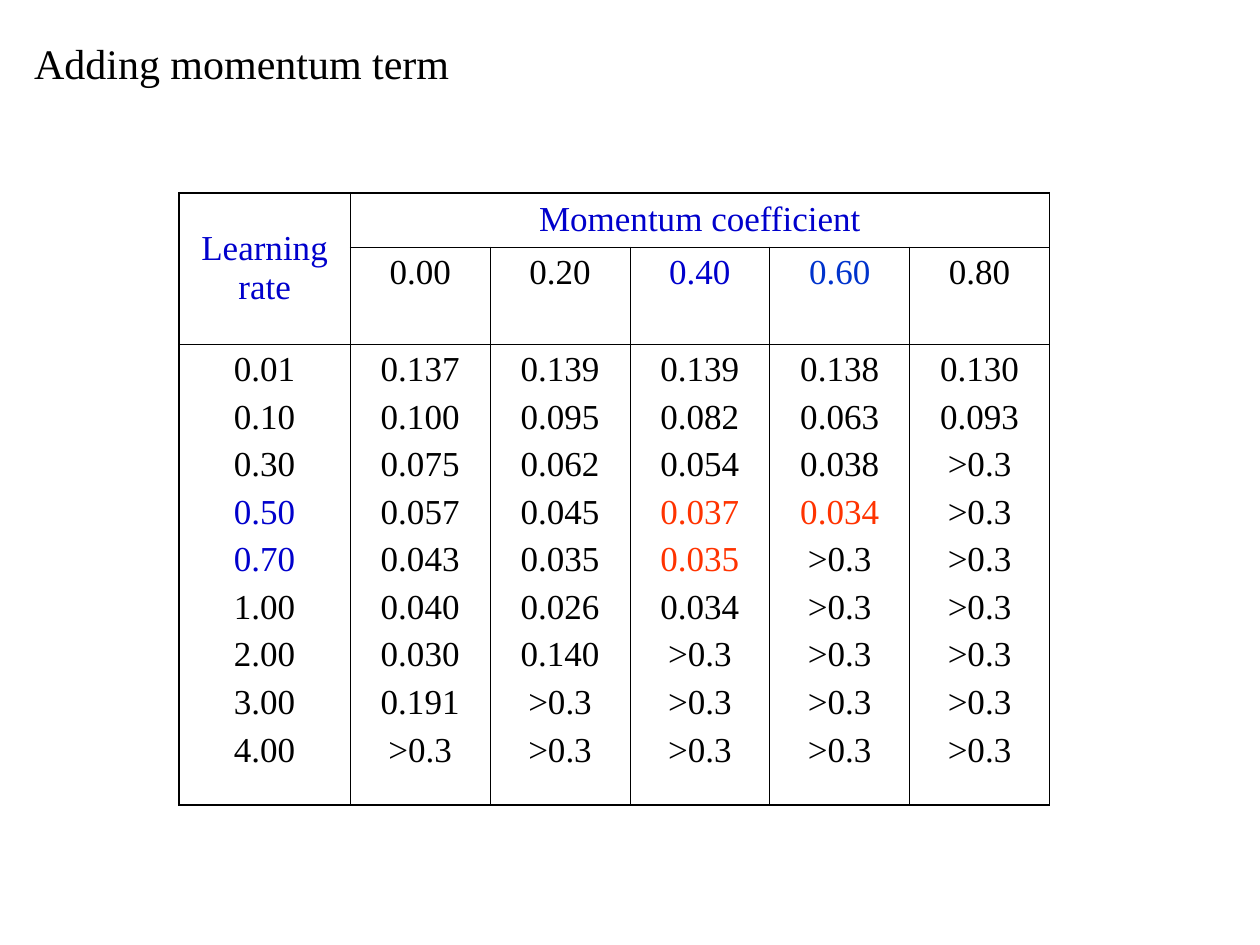
from lxml.etree import SubElement
from pptx import Presentation
from pptx.dml.color import RGBColor
from pptx.enum.text import MSO_ANCHOR as Anchor, PP_ALIGN as Align
from pptx.oxml.ns import qn
from pptx.util import Inches, Pt

COLORS = {"text": "000000", "heading": "0000CC", "accent": "0033CC", "best": "FF3300"}
COEFFICIENTS = ["0.00", "0.20", "0.40", "0.60", "0.80"]
COEFFICIENT_COLORS = {"0.40": "heading", "0.60": "accent"}
ERRORS = {
    "0.01": ["0.137", "0.139", "0.139", "0.138", "0.130"],
    "0.10": ["0.100", "0.095", "0.082", "0.063", "0.093"],
    "0.30": ["0.075", "0.062", "0.054", "0.038", ">0.3"],
    "0.50": ["0.057", "0.045", "0.037", "0.034", ">0.3"],
    "0.70": ["0.043", "0.035", "0.035", ">0.3", ">0.3"],
    "1.00": ["0.040", "0.026", "0.034", ">0.3", ">0.3"],
    "2.00": ["0.030", "0.140", ">0.3", ">0.3", ">0.3"],
    "3.00": ["0.191", ">0.3", ">0.3", ">0.3", ">0.3"],
    "4.00": [">0.3", ">0.3", ">0.3", ">0.3", ">0.3"],
}
RATE_COLORS = {"0.50": "heading", "0.70": "heading"}
BEST = {("0.50", "0.40"), ("0.50", "0.60"), ("0.70", "0.40")}


class SlideBuilder:
    """Places elements on a grid of 100 columns by 75 rows."""

    font = "Times New Roman"
    inner_line, outer_line = 0.45, 1.08

    def __init__(self, deck):
        self.slide = deck.slides.add_slide(deck.slide_layouts[5])
        self.unit = deck.slide_width / 100

    def length(self, cells):
        return round(cells * self.unit)

    def add_lines(self, frame, lines, size, align, gap=0):
        """Fill a frame with (text, colour name) lines, one paragraph each."""
        for index, (text, color) in enumerate(lines):
            para = frame.paragraphs[0] if index == 0 else frame.add_paragraph()
            para.alignment = align
            para.space_before = Pt(gap if index else 0)
            span = para.add_run()
            span.text = text
            for name, value in {"name": self.font, "size": Pt(size), "bold": False}.items():
                setattr(span.font, name, value)
            span.font.color.rgb = RGBColor.from_string(COLORS[color])

    def title(self, text, left, top, width, height):
        box = self.slide.shapes.title
        place = {"left": left, "top": top, "width": width, "height": height}
        for name, value in place.items():
            setattr(box, name, self.length(value))
        frame = box.text_frame
        layout = {"vertical_anchor": Anchor.TOP, "word_wrap": True,
                  "margin_left": Inches(0.1), "margin_right": Inches(0.1),
                  "margin_top": Inches(0.05), "margin_bottom": Inches(0.05)}
        for name, value in layout.items():
            setattr(frame, name, value)
        self.add_lines(frame, [(text, "text")], 24, Align.LEFT)

    def table(self, left, top, widths, heights):
        sizes = [left, top, sum(widths), sum(heights)]
        table = self.slide.shapes.add_table(
            len(heights), len(widths), *map(self.length, sizes)).table
        table.first_row = table.horz_banding = False
        for column, width in zip(table.columns, widths):
            column.width = self.length(width)
        for row, height in zip(table.rows, heights):
            row.height = self.length(height)
        last_row, last_column = len(heights) - 1, len(widths) - 1
        for r in range(last_row + 1):
            for c in range(last_column + 1):
                cell = table.cell(r, c)
                self.borders(cell, {"L": c == 0, "R": c == last_column,
                                    "T": r == 0, "B": r == last_row})
                cell.fill.background()
        return table

    def borders(self, cell, outer_sides):
        properties = cell._tc.get_or_add_tcPr()
        for side, outer in outer_sides.items():
            width = Pt(self.outer_line if outer else self.inner_line)
            line = SubElement(properties, qn(f"a:ln{side}"), w=str(width))
            fill = SubElement(line, qn("a:solidFill"))
            SubElement(fill, qn("a:srgbClr"), val=COLORS["text"])

    def cell(self, cell, lines, anchor=Anchor.TOP):
        cell.vertical_anchor = anchor
        self.add_lines(cell.text_frame, lines, 20, Align.CENTER, gap=5)


def main():
    deck = Presentation()
    deck.slide_width, deck.slide_height = Inches(10), Inches(7.5)
    builder = SlideBuilder(deck)
    builder.title("Adding momentum term", 1.7, 2.5, 39.2, 5)

    widths = [13.6] + [11.1] * len(COEFFICIENTS)
    table = builder.table(14.2, 15.3, widths, [4.3, 7.7, 36.6])
    table.cell(0, 0).merge(table.cell(1, 0))
    table.cell(0, 1).merge(table.cell(0, len(COEFFICIENTS)))
    builder.cell(table.cell(0, 0), [("Learning rate", "heading")], Anchor.MIDDLE)
    builder.cell(table.cell(0, 1), [("Momentum coefficient", "heading")], Anchor.MIDDLE)
    builder.cell(table.cell(2, 0), [(rate, RATE_COLORS.get(rate, "text")) for rate in ERRORS])
    for index, coefficient in enumerate(COEFFICIENTS):
        color = COEFFICIENT_COLORS.get(coefficient, "text")
        builder.cell(table.cell(1, index + 1), [(coefficient, color)])
        builder.cell(table.cell(2, index + 1), [
            (errors[index], "best" if (rate, coefficient) in BEST else "text")
            for rate, errors in ERRORS.items()])
    deck.save("out.pptx")


if __name__ == "__main__":
    main()
